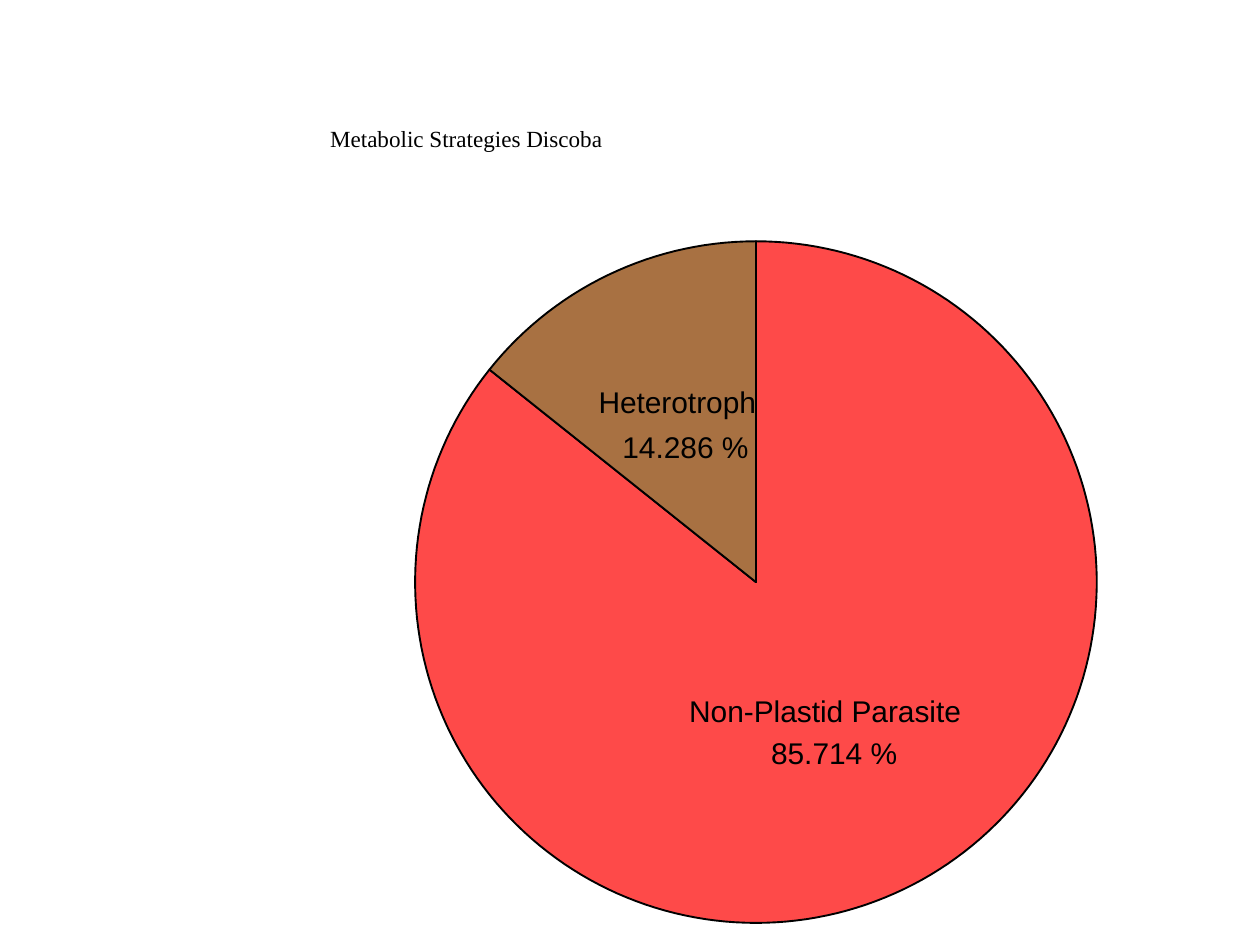
"""Build a slide with a two-slice pie of the metabolic strategies of Discoba."""
import math
from dataclasses import dataclass

from pptx import Presentation
from pptx import util as u
from pptx.dml.color import RGBColor
from pptx.enum import text
from pptx.slide import Slide

RED = RGBColor(0xFE, 0x4A, 0x49)
BROWN = RGBColor(0xA8, 0x71, 0x42)
BLACK = RGBColor(0, 0, 0)

SLIDE_WIDTH, SLIDE_HEIGHT = u.Inches(10), u.Inches(7.5)
COLUMNS, ROWS = 100, 75
CENTER_COLUMN, CENTER_ROW, RADIUS = 60, 46.2, 27.05
STEPS_PER_TURN = 210


@dataclass(frozen=True)
class Slice:
    percent: float
    color: RGBColor


@dataclass(frozen=True)
class Label:
    content: str
    column: float
    row: float
    width: float
    height: float
    size: float = 17.1
    font: str = "Arial"


SLICES = (Slice(85.714, RED), Slice(14.286, BROWN))
LABELS = (
    Label("Non-Plastid Parasite", 54.7, 55.8, 22.3, 1.7),
    Label("85.714 %", 61.2, 59.1, 10, 1.8),
    Label("Heterotroph", 47.5, 31, 13.2, 2.2),
    Label("14.286 %", 49.4, 34.8, 10, 1.8),
    Label("Metabolic Strategies Discoba", 26.2, 10.3, 21.6, 1.7, 13.2, "Times New Roman"),
)


def across(columns: float) -> int:
    """Convert grid columns to a length."""
    return round(SLIDE_WIDTH * columns / COLUMNS)


def down(rows: float) -> int:
    """Convert grid rows to a length."""
    return round(SLIDE_HEIGHT * rows / ROWS)


def rim_point(turn: float) -> tuple[int, int]:
    """Return the point on the rim at a share of a clockwise turn from the top."""
    angle = math.tau * turn
    return (
        across(CENTER_COLUMN + RADIUS * math.sin(angle)),
        down(CENTER_ROW - RADIUS * math.cos(angle)),
    )


def draw_slice(slide: Slide, pie_slice: Slice, start: float) -> None:
    """Draw one slice that begins at the given share of a turn."""
    sweep = pie_slice.percent / 100
    steps = round(STEPS_PER_TURN * sweep)
    builder = slide.shapes.build_freeform(across(CENTER_COLUMN), down(CENTER_ROW))
    builder.add_line_segments(
        [rim_point(start + sweep * step / steps) for step in range(steps + 1)], close=True
    )
    shape = builder.convert_to_shape()
    shape.shadow.inherit = False
    shape.fill.solid()
    shape.fill.fore_color.rgb = pie_slice.color
    shape.line.color.rgb = BLACK
    shape.line.width = u.Pt(1.07)


def draw_label(slide: Slide, label: Label) -> None:
    """Draw one line of text without margins."""
    shape = slide.shapes.add_textbox(
        across(label.column), down(label.row), across(label.width), down(label.height)
    )
    frame = shape.text_frame
    frame.margin_left = frame.margin_right = frame.margin_top = frame.margin_bottom = 0
    frame.vertical_anchor = text.MSO_ANCHOR.MIDDLE
    frame.word_wrap = False
    paragraph = frame.paragraphs[0]
    paragraph.text = label.content
    paragraph.line_spacing = u.Pt(label.size)
    paragraph.font.size = u.Pt(label.size)
    paragraph.font.name = label.font
    paragraph.font.color.rgb = BLACK


def main() -> None:
    """Create and save the presentation."""
    presentation = Presentation()
    presentation.slide_width, presentation.slide_height = SLIDE_WIDTH, SLIDE_HEIGHT
    slide = presentation.slides.add_slide(presentation.slide_layouts[6])
    start = 0.0
    for pie_slice in SLICES:
        draw_slice(slide, pie_slice, start)
        start += pie_slice.percent / 100
    for label in LABELS:
        draw_label(slide, label)
    presentation.save("out.pptx")


if __name__ == "__main__":
    main()
